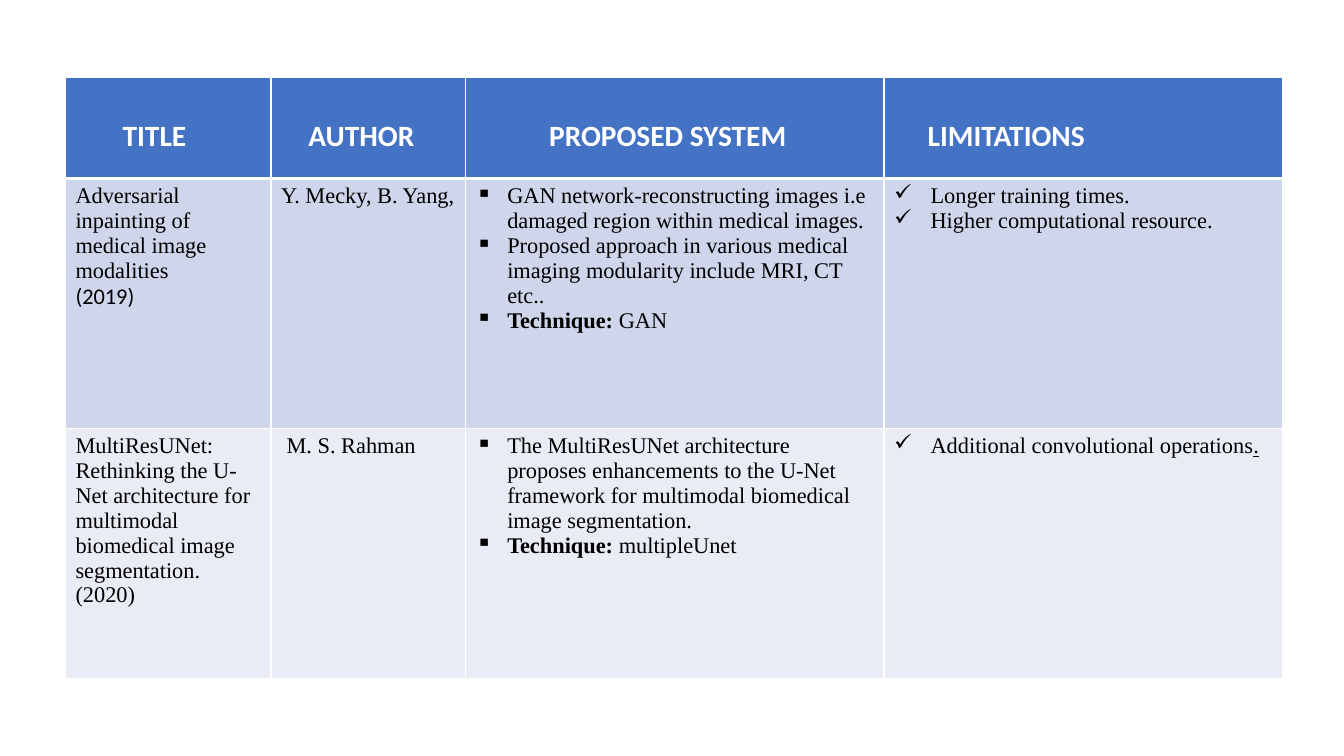
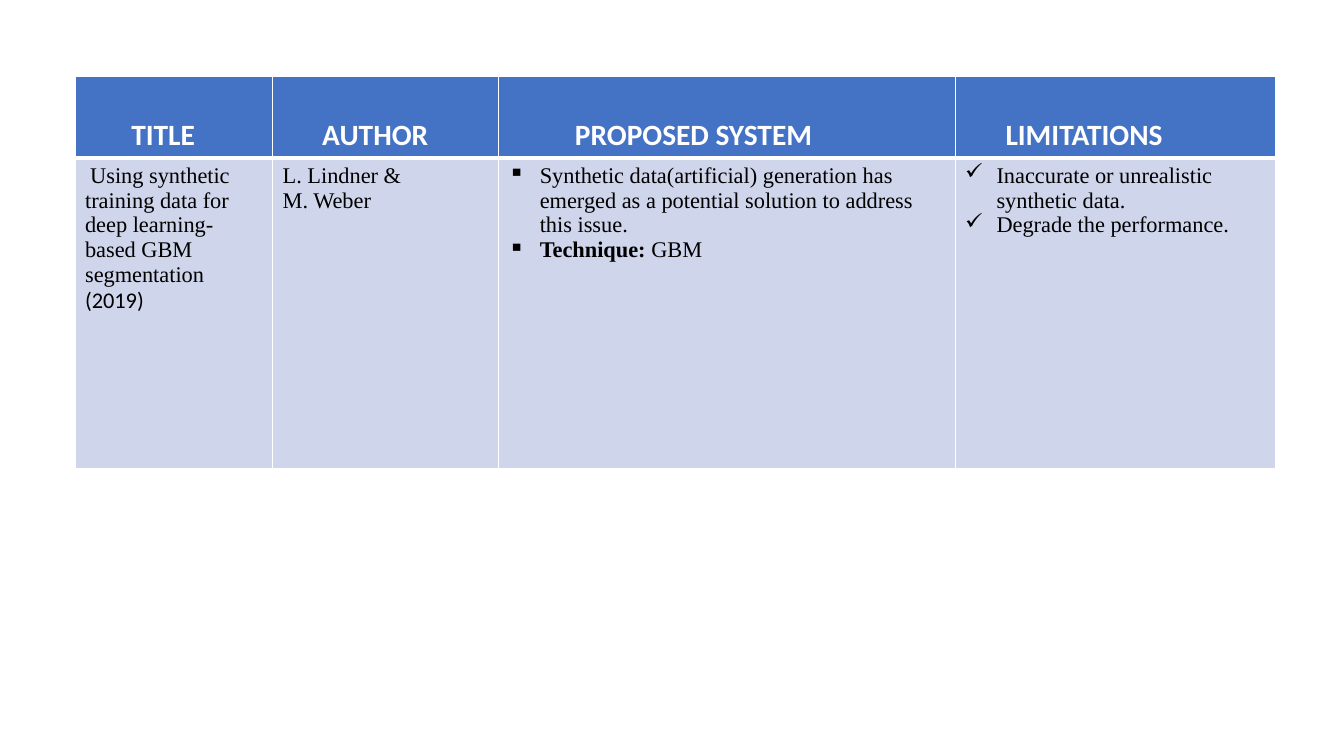
import pptx
import pptx.dml.color
import pptx.oxml.xmlchemy
import pptx.util

Cm = pptx.util.Cm
Pt = pptx.util.Pt

BLUE, WHITE, BLACK = "4472C4", "FFFFFF", "000000"
BANDS = ["CFD5EA", "E9EBF5"]
HEADS = ["TITLE", "AUTHOR", "PROPOSED SYSTEM", "LIMITATIONS"]
HEAD = {"name": "Calibri", "size": Pt(21), "bold": True}
BODY = {"name": "Times New Roman", "size": Pt(16), "bold": False}
BOLD = {"bold": True}
SANS = {"name": "Calibri"}
LINED = {"underline": True}
MARKS = [None, None, "▪", "✓"]
HANG = 0.79


def color(code):
    return pptx.dml.color.RGBColor.from_string(code)


def para(*runs, lead=0):
    return {"runs": [r if isinstance(r, tuple) else (r, {}) for r in runs], "lead": lead}


def method(name):
    return para(("Technique: ", BOLD), name)


def year(text, look=SANS):
    return para((text, look))


def add_run(line, text, look, tint):
    run = line.add_run()
    run.text = text
    for key, value in look.items():
        setattr(run.font, key, value)
    run.font.color.rgb = color(tint)


def indent(line, left, first, mark=None):
    props = line._p.get_or_add_pPr()
    props.set("marL", str(Cm(left)))
    props.set("indent", str(Cm(first)))
    if mark:
        sign = pptx.oxml.xmlchemy.OxmlElement("a:buChar")
        sign.set("char", mark)
        props.append(sign)


def set_edges(cell, top, bottom):
    props = cell._tc.get_or_add_tcPr()
    widths = {"L": 1, "R": 1, "T": top, "B": bottom}
    for place, (side, width) in enumerate(widths.items()):
        edge = pptx.oxml.xmlchemy.OxmlElement(f"a:ln{side}")
        edge.set("w", str(Pt(width)))
        fill = pptx.oxml.xmlchemy.OxmlElement("a:solidFill")
        tone = pptx.oxml.xmlchemy.OxmlElement("a:srgbClr")
        tone.set("val", WHITE)
        fill.append(tone)
        edge.append(fill)
        props.insert(place, edge)


def paint(cell, tint, top=1, bottom=1):
    cell.fill.solid()
    cell.fill.fore_color.rgb = color(tint)
    set_edges(cell, top, bottom)


def fill_head(cell, text, inset):
    paint(cell, BLUE, bottom=3)
    cell.margin_left, cell.margin_top = Cm(inset), Cm(1.02)
    add_run(cell.text_frame.paragraphs[0], text, HEAD, WHITE)


def fill_body(cell, paras, tint, top, mark, hang):
    paint(cell, tint, top=top)
    frame = cell.text_frame
    for count, item in enumerate(paras):
        line = frame.add_paragraph() if count else frame.paragraphs[0]
        if mark:
            indent(line, hang, -hang, mark)
        elif item["lead"]:
            indent(line, 0, item["lead"])
        for text, look in item["runs"]:
            add_run(line, text, BODY | look, BLACK)


def add_grid(deck, left, top, widths, heights, insets, rows, hang):
    slide = deck.slides.add_slide(deck.slide_layouts[6])
    frame = slide.shapes.add_table(len(heights), len(widths), Cm(left), Cm(top),
                                   Cm(sum(widths)), Cm(sum(heights)))
    grid = frame.table
    grid.horz_banding = False
    for column, width in zip(grid.columns, widths):
        column.width = Cm(width)
    for row, height in zip(grid.rows, heights):
        row.height = Cm(height)
    for c, (text, inset) in enumerate(zip(HEADS, insets)):
        fill_head(grid.cell(0, c), text, inset)
    for r, row in enumerate(rows):
        for c, paras in enumerate(row):
            fill_body(grid.cell(r + 1, c), paras, BANDS[r % 2], 1 if r else 3,
                      MARKS[c], hang if c == 3 else HANG)


def main():
    deck = pptx.Presentation()
    deck.slide_width, deck.slide_height = Cm(33.87), Cm(19.05)
    first = [
        [
            [para("Adversarial inpainting of medical image modalities"), year("(2019)")],
            [para("Y. Mecky, B. Yang,")],
            [para("GAN network-reconstructing images i.e damaged region within medical images."),
             para("Proposed approach in various medical imaging modularity include MRI, CT etc.."),
             method("GAN")],
            [para("Longer training times."), para("Higher computational resource.")],
        ],
        [
            [para("MultiResUNet: Rethinking the U-Net architecture for multimodal "
                  "biomedical image segmentation."), year("(2020)", {})],
            [para("M. S. Rahman", lead=0.14)],
            [para("The MultiResUNet architecture proposes enhancements to the U-Net "
                  "framework for multimodal biomedical image segmentation."),
             method("multipleUnet")],
            [para("Additional convolutional operations", (".", LINED))],
        ],
    ]
    second = [
        [
            [para("Using synthetic training data for deep learning-based GBM segmentation",
                  lead=0.13), year("(2019)")],
            [para("L. Lindner &"), para("M. Weber")],
            [para("Synthetic data(artificial) generation has emerged as a potential "
                  "solution to address this issue."), method("GBM")],
            [para("Inaccurate or unrealistic synthetic data."), para("Degrade the performance.")],
        ],
    ]
    add_grid(deck, 1.65, 1.96, [5.18, 4.91, 10.54, 10.05], [2.54, 6.3, 6.3],
             [1.44, 0.94, 2.1, 1.1], first, 0.92)
    add_grid(deck, 1.89, 1.93, [4.98, 5.69, 11.51, 8.08], [2.05, 7.82],
             [1.42, 1.25, 1.93, 1.27], second, HANG)
    deck.save("out.pptx")


if __name__ == "__main__":
    main()
